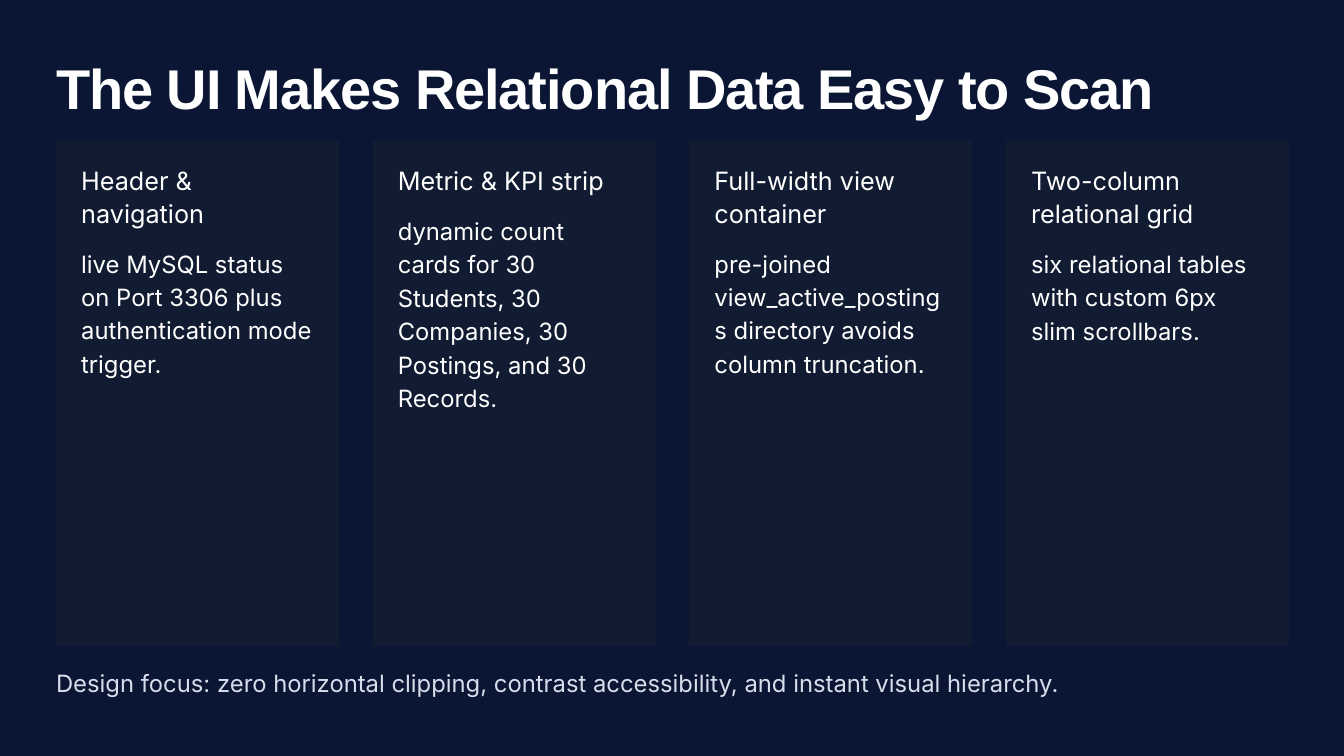
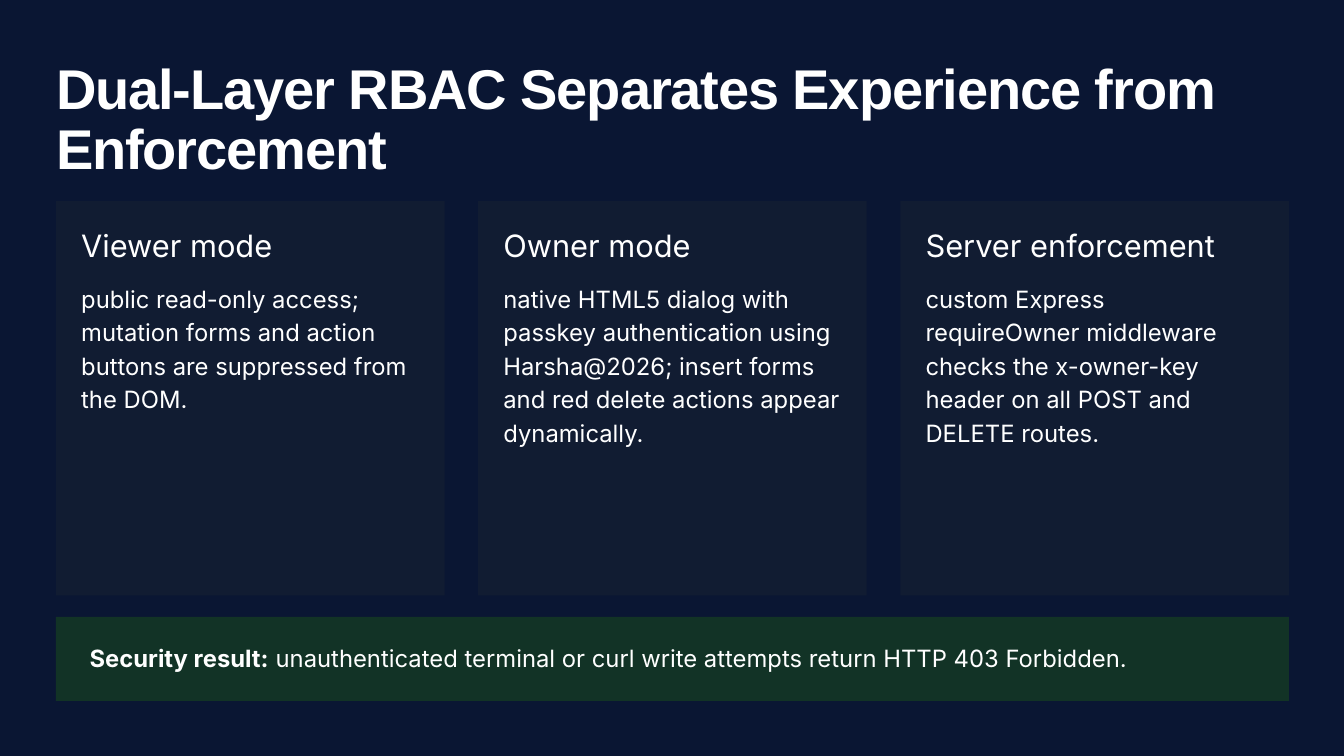
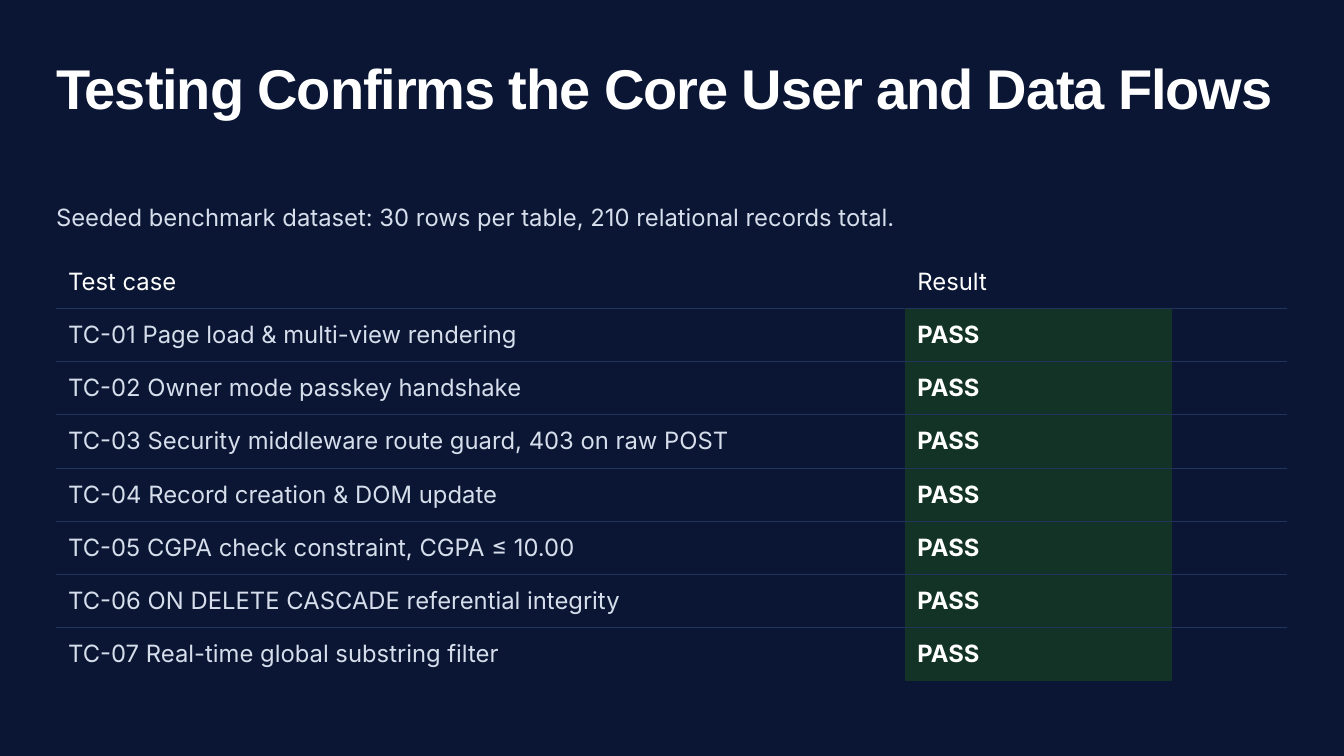
from pptx import Presentation
from pptx.dml.color import RGBColor
from pptx.enum.shapes import MSO_SHAPE as SHAPE
from pptx.enum.text import MSO_ANCHOR as ANCHOR, MSO_AUTO_SIZE as AUTO, PP_ALIGN as ALIGN
from pptx.oxml import parse_xml
from pptx.oxml.ns import nsdecls
from pptx.util import Pt

NAVY = RGBColor(0x0A, 0x16, 0x33)
CARD = RGBColor(0x11, 0x1C, 0x32)
GREEN = RGBColor(0x12, 0x33, 0x26)
RULE = RGBColor(0x22, 0x33, 0x5C)
WHITE = RGBColor(0xFF, 0xFF, 0xFF)
PALE = RGBColor(0xD6, 0xDE, 0xEC)

SLIDE_W, SLIDE_H = 1440, 810
MARGIN = 60
CONTENT_W = 1321
TITLE_TOP, TITLE_LINE = 64, 64.8
GAP, PAD = 36, 27
BODY, BODY_LINE = 25.5, 35.8

# Each card: heading, its lines, body, its lines
UI_CARDS = [
    ("Header & navigation", 2,
     "live MySQL status on Port 3306 plus authentication mode trigger.", 4),
    ("Metric & KPI strip", 1,
     "dynamic count cards for 30 Students, 30 Companies, 30 Postings, and 30 Records.", 6),
    ("Full-width view container", 2,
     "pre-joined view_active_postings directory avoids column truncation.", 4),
    ("Two-column relational grid", 2,
     "six relational tables with custom 6px slim scrollbars.", 3),
]
RBAC_CARDS = [
    ("Viewer mode", 1,
     "public read-only access; mutation forms and action buttons are suppressed "
     "from the DOM.", 4),
    ("Owner mode", 1,
     "native HTML5 dialog with passkey authentication using Harsha@2026; insert forms "
     "and red delete actions appear dynamically.", 5),
    ("Server enforcement", 1,
     "custom Express requireOwner middleware checks the x-owner-key header on all POST "
     "and DELETE routes.", 5),
]
TEST_CASES = [
    "TC-01 Page load & multi-view rendering",
    "TC-02 Owner mode passkey handshake",
    "TC-03 Security middleware route guard, 403 on raw POST",
    "TC-04 Record creation & DOM update",
    "TC-05 CGPA check constraint, CGPA ≤ 10.00",
    "TC-06 ON DELETE CASCADE referential integrity",
    "TC-07 Real-time global substring filter",
]
COLUMNS = [910, 286, 41, 41, 41]
ROW_H, LAST_ROW_H = 57, 55.5


def style(p, size, line, color=WHITE, font="Inter", bold=False):
    p.alignment = ALIGN.LEFT
    p.line_spacing = Pt(line)
    p.font.name = font
    p.font.size = Pt(size)
    p.font.color.rgb = color
    p.font.bold = bold


def clear_frame(tf):
    """Wrap text from the top left corner, without margins."""
    tf.word_wrap = True
    tf.auto_size = AUTO.SHAPE_TO_FIT_TEXT
    tf.vertical_anchor = ANCHOR.TOP
    tf.margin_left = tf.margin_top = tf.margin_right = tf.margin_bottom = 0


def add_slide(prs, title, title_lines=1):
    slide = prs.slides.add_slide(prs.slide_layouts[5])
    sp = slide.shapes.title
    sp.left, sp.top = Pt(MARGIN), Pt(TITLE_TOP)
    sp.width, sp.height = Pt(CONTENT_W), Pt(title_lines * TITLE_LINE)
    tf = sp.text_frame
    clear_frame(tf)
    p = tf.paragraphs[0]
    r = p.add_run()
    r.text = title
    style(p, 60, TITLE_LINE, font="Arial", bold=True)
    r._r.get_or_add_rPr().set("spc", "-120")
    return slide


def add_text(slide, x, y, w, text, lines=1, size=BODY, line=BODY_LINE, color=WHITE, lead=""):
    """Add a text box; lead is a bold opening."""
    tf = slide.shapes.add_textbox(Pt(x), Pt(y), Pt(w), Pt(lines * line)).text_frame
    clear_frame(tf)
    p = tf.paragraphs[0]
    if lead:
        r = p.add_run()
        r.text = lead
        r.font.bold = True
    p.add_run().text = text
    style(p, size, line, color)


def add_panel(slide, x, y, w, h, color):
    sp = slide.shapes.add_shape(SHAPE.RECTANGLE, Pt(x), Pt(y), Pt(w), Pt(h))
    sp.shadow.inherit = False
    sp.fill.solid()
    sp.fill.fore_color.rgb = color
    sp.line.fill.background()


def add_cards(slide, cards, top, height, size, line):
    w = (CONTENT_W - GAP * (len(cards) - 1)) / len(cards)
    for i, (heading, heading_lines, body, body_lines) in enumerate(cards):
        x = MARGIN + i * (w + GAP)
        y = top + 24
        add_panel(slide, x, top, w, height, CARD)
        add_text(slide, x + PAD, y, w - 2 * PAD, heading, heading_lines, size, line)
        add_text(slide, x + PAD, y + heading_lines * line + 17.5, w - 2 * PAD,
                 body, body_lines)


def set_borders(cell, side, top, bottom):
    tc_pr = cell._tc.get_or_add_tcPr()
    for tag, color in (("lnL", side), ("lnR", side), ("lnT", top), ("lnB", bottom)):
        tc_pr.append(parse_xml(
            f'<a:{tag} {nsdecls("a")} w="12700"><a:solidFill>'
            f'<a:srgbClr val="{color}"/></a:solidFill></a:{tag}>'))


def add_results_table(slide, top):
    rows = [("Test case", "Result")] + [(case, "PASS") for case in TEST_CASES]
    last = len(rows) - 1
    table = slide.shapes.add_table(
        len(rows), len(COLUMNS), Pt(MARGIN), Pt(top),
        Pt(sum(COLUMNS)), Pt(last * ROW_H + LAST_ROW_H)).table
    table.first_row = table.horz_banding = False
    for column, w in zip(table.columns, COLUMNS):
        column.width = Pt(w)
    for i, texts in enumerate(rows):
        table.rows[i].height = Pt(LAST_ROW_H if i == last else ROW_H)
        for j in range(len(COLUMNS)):
            cell = table.cell(i, j)
            passed = i > 0 and j == 1
            side = GREEN if passed else NAVY
            set_borders(cell, side, RULE if i else NAVY, side if i == last else RULE)
            if passed:
                cell.fill.solid()
                cell.fill.fore_color.rgb = GREEN
            else:
                cell.fill.background()
            if j < len(texts):
                cell.text = texts[j]
                cell.vertical_anchor = ANCHOR.MIDDLE
                cell.margin_left = cell.margin_right = Pt(13)
                cell.margin_top = cell.margin_bottom = Pt(13)
                style(cell.text_frame.paragraphs[0], BODY, 30.6,
                      PALE if i and j == 0 else WHITE, bold=passed)


def main():
    prs = Presentation()
    prs.slide_width, prs.slide_height = Pt(SLIDE_W), Pt(SLIDE_H)
    background = prs.slide_master.background.fill
    background.solid()
    background.fore_color.rgb = NAVY

    slide = add_slide(prs, "The UI Makes Relational Data Easy to Scan")
    add_cards(slide, UI_CARDS, 150.5, 541.5, 27, 35)
    add_text(slide, MARGIN, 711.5, SLIDE_W - MARGIN,
             "Design focus: zero horizontal clipping, contrast accessibility, "
             "and instant visual hierarchy.", color=PALE)

    slide = add_slide(prs, "Dual-Layer RBAC Separates Experience from Enforcement", 2)
    add_cards(slide, RBAC_CARDS, 215.5, 422.5, 33, 42.8)
    add_panel(slide, MARGIN, 661, CONTENT_W, 90, GREEN)
    add_text(slide, MARGIN + GAP, 684, CONTENT_W - GAP,
             " unauthenticated terminal or curl write attempts return HTTP 403 Forbidden.",
             lead="Security result:")

    slide = add_slide(prs, "Testing Confirms the Core User and Data Flows", 2)
    add_text(slide, MARGIN, 211.5, SLIDE_W - MARGIN,
             "Seeded benchmark dataset: 30 rows per table, 210 relational records total.",
             color=PALE)
    add_results_table(slide, 273.5)

    prs.save("out.pptx")


if __name__ == "__main__":
    main()
